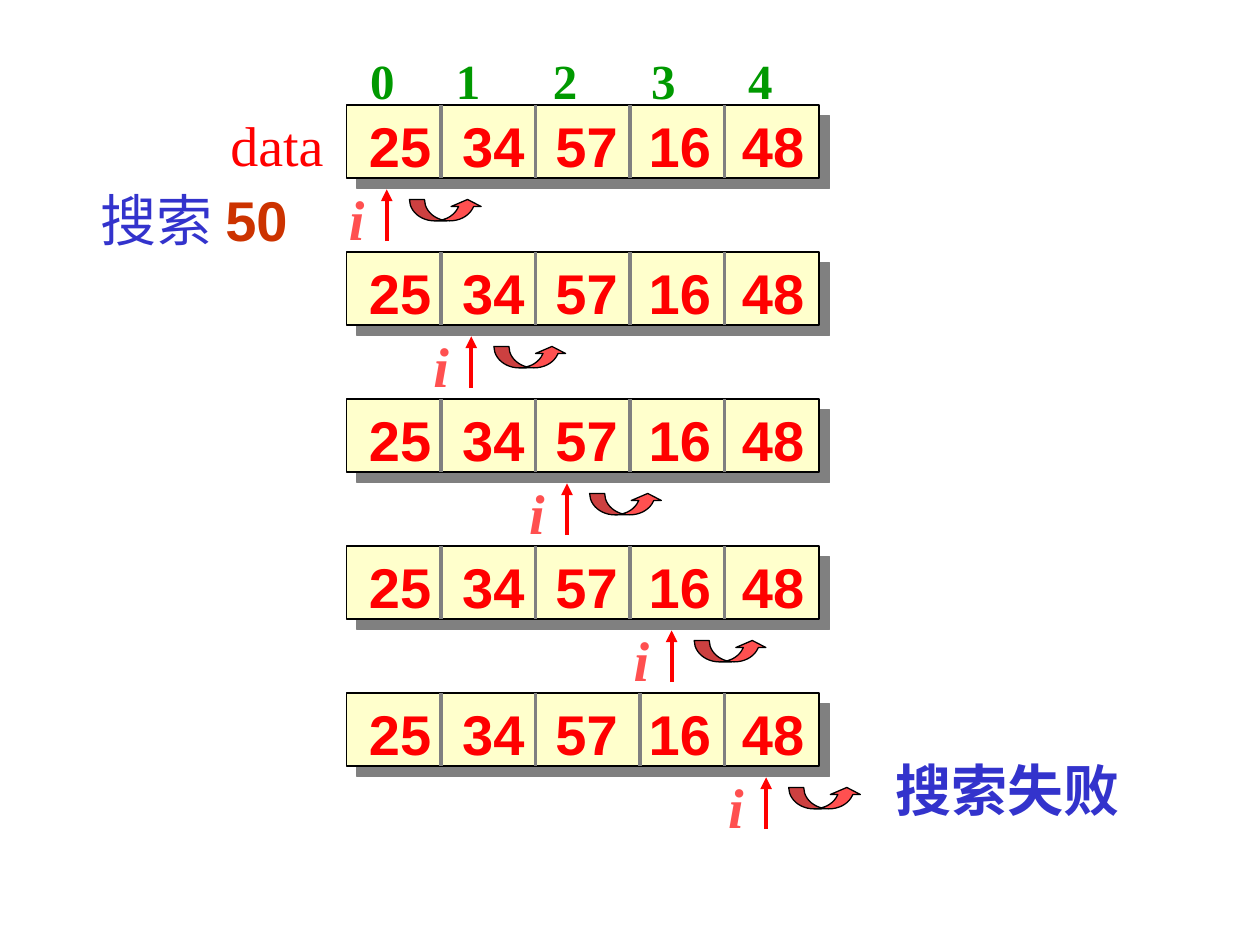
from pptx import Presentation
from pptx.dml.color import RGBColor
from pptx.enum import shapes, text
from pptx.oxml import parse_xml
from pptx.oxml.ns import nsdecls
from pptx.util import Inches, Pt

VALUES = ["25", "34", "57", "16", "48"]
ROW_TOP, ROW_PITCH = 5 / 6, 7 / 6
ROW_LEFT, ROW_WIDTH, ROW_HEIGHT = 2.75, 3.75, 0.58
CELL = ROW_WIDTH / len(VALUES)
TEXT_HEIGHT = 0.64
VALUE_TABS = [0.74 * n for n in range(1, 5)]
INDEX_TABS = [0.68, 1.45, 2.23, 3]
POINTER_X = [3.07, 3.74, 4.5, 5.33, 6.08]


def color(hex_value):
    return RGBColor.from_string(hex_value)


def add_label(slide, box, runs, tabs=()):
    """Place a one-line label; each run is (wording, font, colour, bold)."""
    label = slide.shapes.add_textbox(*map(Inches, box))
    frame = label.text_frame
    frame.word_wrap = bool(tabs)
    frame.auto_size = text.MSO_AUTO_SIZE.SHAPE_TO_FIT_TEXT
    line = frame.paragraphs[0]
    for wording, font, hex_value, bold in runs:
        run = line.add_run()
        run.text = wording
        run.font.name, run.font.size, run.font.bold = font, Pt(32), bold
        run.font.color.rgb = color(hex_value)
    if tabs:
        stops = "".join(f'<a:tab pos="{Inches(t)}" algn="l"/>' for t in tabs)
        line._p.get_or_add_pPr().append(
            parse_xml(f'<a:tabLst {nsdecls("a")}>{stops}</a:tabLst>'))
    return line


def add_line(slide, start, end, hex_value, arrow=False):
    line = slide.shapes.add_connector(
        shapes.MSO_CONNECTOR.STRAIGHT, *map(Inches, start + end))
    line.line.color.rgb = color(hex_value)
    line.line.width = Pt(2.25)
    if arrow:
        line.line._get_or_add_ln().append(
            parse_xml(f'<a:tailEnd {nsdecls("a")} type="triangle"/>'))
    line._element.spPr.append(parse_xml(f'<a:effectLst {nsdecls("a")}/>'))


def add_filled(slide, kind, box, hex_value):
    shape = slide.shapes.add_shape(kind, *map(Inches, box))
    shape.shadow.inherit = False
    shape.fill.solid()
    shape.fill.fore_color.rgb = color(hex_value)
    shape.line.color.rgb = color("000000")
    shape.line.width = Pt(0.75)
    return shape


def add_array(slide, left, top, width, height, dividers):
    """Draw the array with its shadow, values and cell dividers."""
    array = add_filled(slide, shapes.MSO_SHAPE.RECTANGLE,
                       (left, top, width, height), "FFFFCC")
    array._element.spPr.find(
        "{http://schemas.openxmlformats.org/drawingml/2006/main}effectLst"
    ).append(parse_xml(
        f'<a:outerShdw {nsdecls("a")} dist="{Pt(8.5)}" dir="2700000" '
        'algn="ctr" rotWithShape="0"><a:srgbClr val="808080"/></a:outerShdw>'))
    add_label(slide, (left + 0.08, top, width, TEXT_HEIGHT),
              [("\t".join(VALUES), "Arial", "FF0000", True)], VALUE_TABS)
    for x in dividers:
        add_line(slide, (x, top), (x, top + height), "808080")


def add_pointer(slide, x, top):
    """Draw index i, its arrow up to the array, and the step to the next cell."""
    add_line(slide, (x, top + 0.5), (x, top + 0.09), "FF0000", arrow=True)
    index = add_label(slide, (x - 0.4, top, 0.32, TEXT_HEIGHT),
                      [("i", "Times New Roman", "FF5050", True)])
    index.runs[0].font.italic = True
    step = add_filled(slide, shapes.MSO_SHAPE.CURVED_UP_ARROW,
                      (x + 0.18, top + 0.17, 0.58, 0.17), "FF5050")
    for n, value in enumerate((0.7, 1.4, 0.33)):
        step.adjustments[n] = value


def add_search_labels(slide):
    # Cell indexes above the first array
    indexes = add_label(
        slide, (2.84, 0.35, 3.6, 0.57),
        [("\t".join(map(str, range(len(VALUES)))),
          "Times New Roman", "009900", True)], INDEX_TABS)
    indexes.runs[0].font.size = Pt(28)
    # Array name, search key and outcome
    add_label(slide, (1.73, 0.83, 0.94, TEXT_HEIGHT),
              [("data", "Times New Roman", "FF0000", False)])
    add_label(slide, (0.7, 1.42, 1.91, TEXT_HEIGHT),
              [("搜索 ", "Times New Roman", "3333CC", False),
               ("50", "Arial", "CC3300", True)])
    add_label(slide, (7.01, 5.95, 1.98, TEXT_HEIGHT),
              [("搜索失败", "Times New Roman", "3333CC", True)])


def main():
    prs = Presentation()
    prs.slide_width, prs.slide_height = Inches(10), Inches(7.5)
    slide = prs.slides.add_slide(prs.slide_layouts[6])

    # One array and pointer for each step of the search
    for step, pointer_x in enumerate(POINTER_X):
        top = ROW_TOP + step * ROW_PITCH
        dividers = [ROW_LEFT + CELL * n for n in range(1, len(VALUES))]
        if step == len(POINTER_X) - 1:
            dividers[2] = 5.08  # the last array has a wider third cell
        add_array(slide, ROW_LEFT, top, ROW_WIDTH, ROW_HEIGHT, dividers)
        add_pointer(slide, pointer_x, top + ROW_HEIGHT)

    add_search_labels(slide)
    prs.save("out.pptx")


if __name__ == "__main__":
    main()
